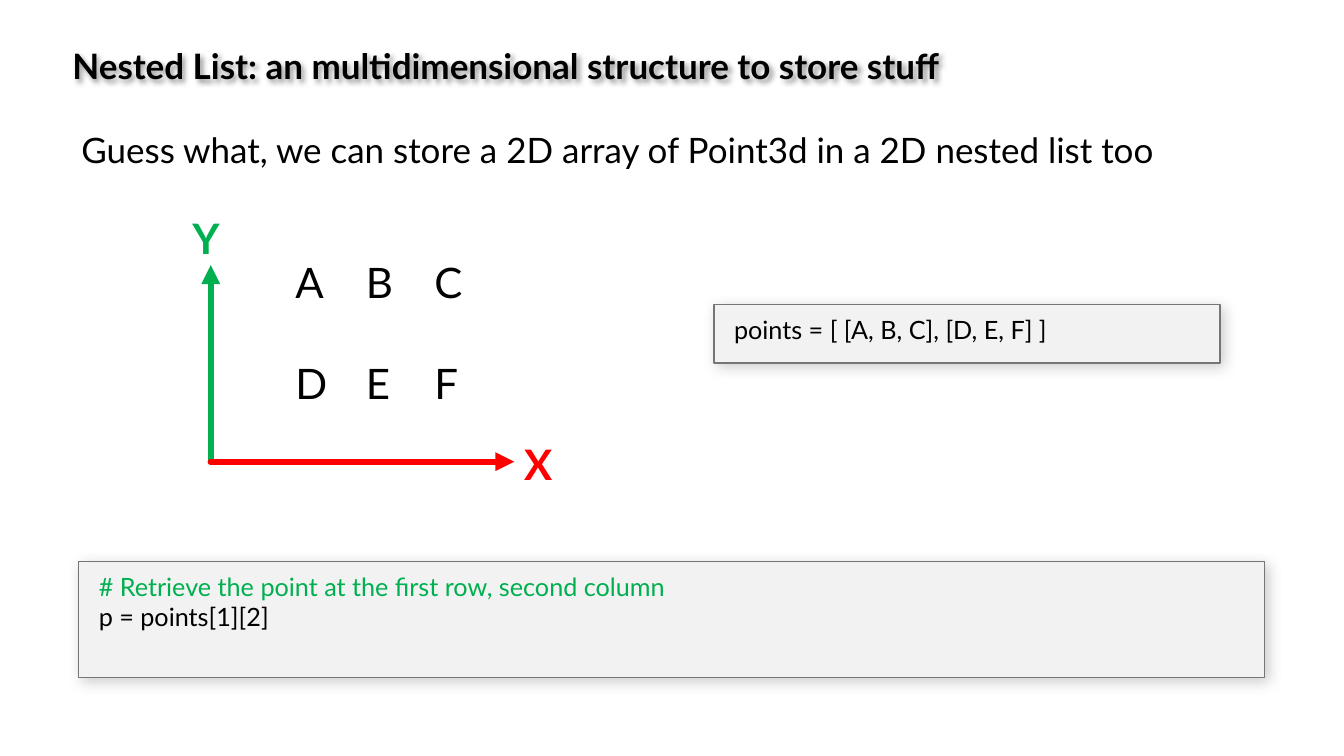
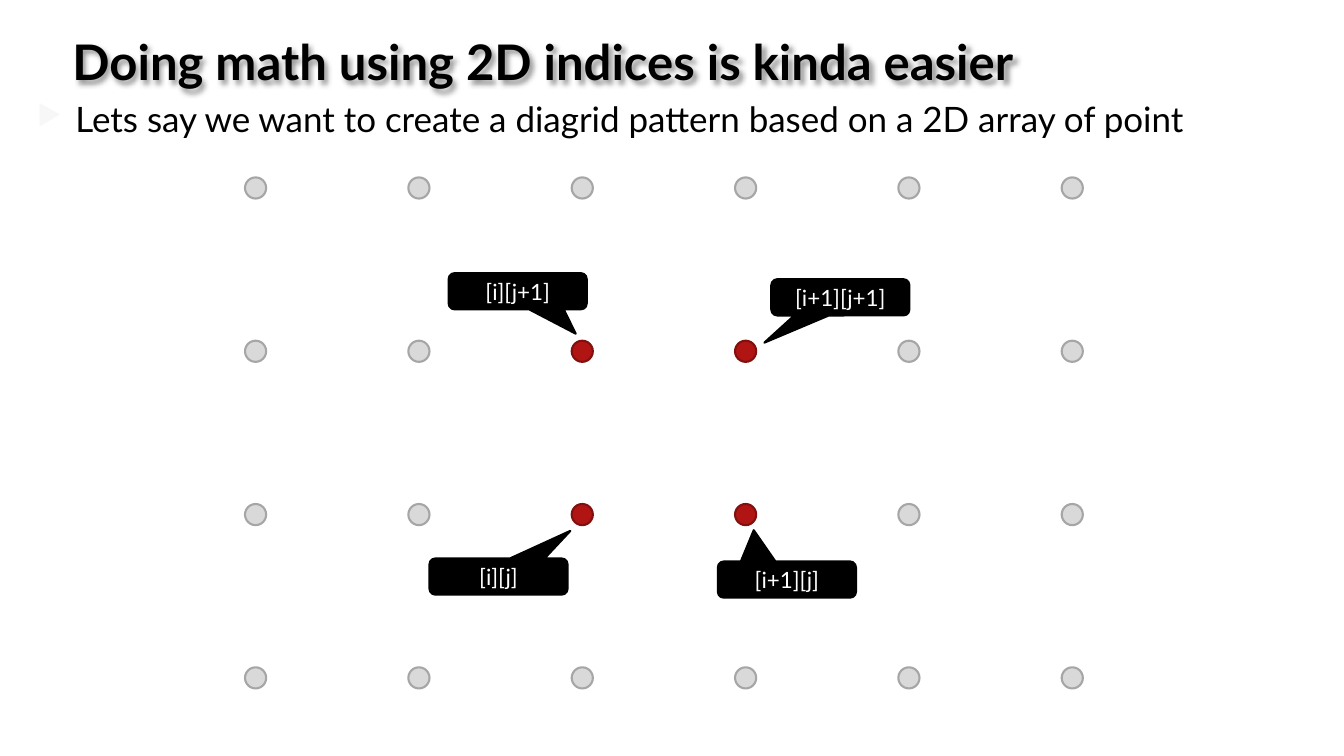
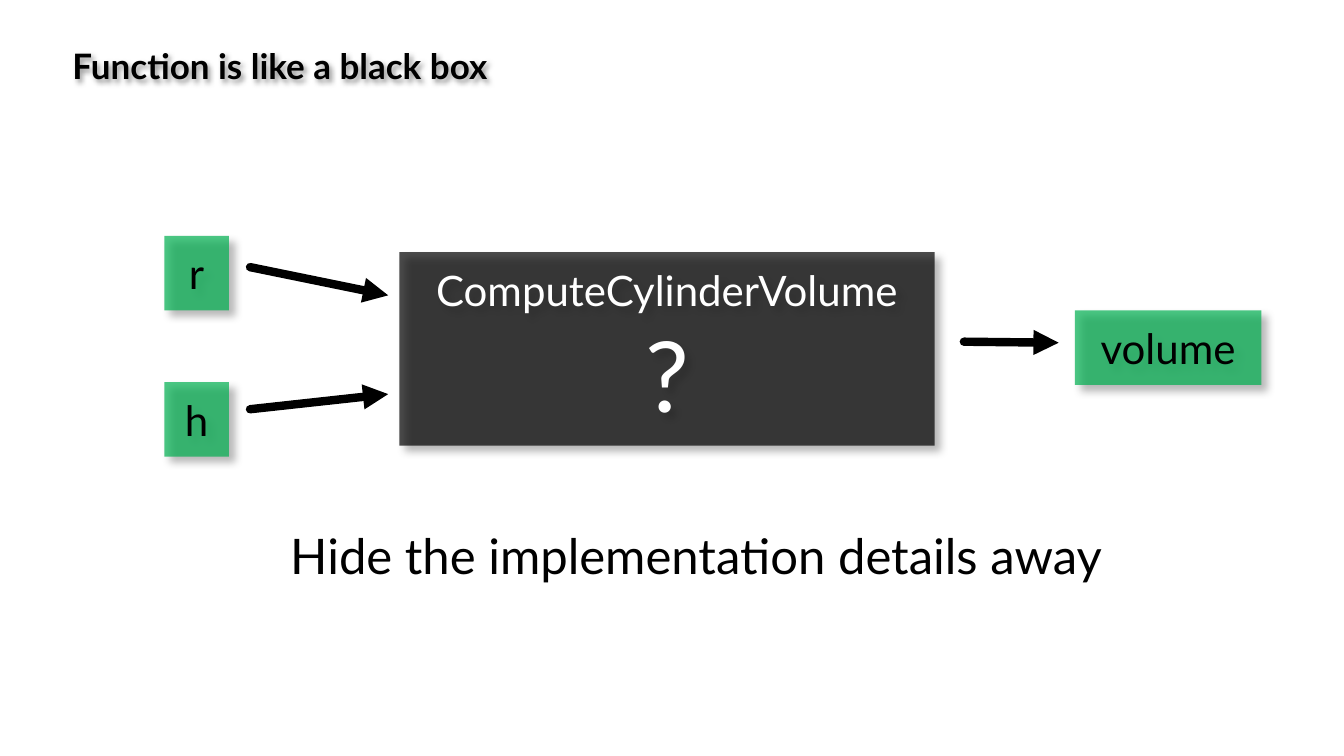
from dataclasses import dataclass

from lxml import etree
from pptx import Presentation
from pptx.dml.color import RGBColor
from pptx.enum import shapes, text
from pptx.oxml.ns import qn
from pptx.util import Inches, Pt


@dataclass(frozen=True)
class Theme:
    font: str = "Lato"
    ink: str = "000000"
    paper: str = "FFFFFF"
    green: str = "00B050"
    red: str = "FF0000"
    code_fill: str = "F2F2F2"
    code_line: str = "767676"
    dot: tuple = ("D9D9D9", "A6A6A6")
    picked: tuple = ("B01513", "82100E")
    bullet: str = "F7F7F7"
    label: int = 16
    code: int = 18
    body: int = 25
    diagram: int = 30
    large: int = 35
    mystery: int = 70
    title_shadow: tuple = (40, 4, 3)
    code_shadow: tuple = (20, 10, 3)
    box_shadow: tuple = (40, 6, 6)


T = Theme()
SHAPE = shapes.MSO_SHAPE
CENTER = text.PP_ALIGN.CENTER
MIDDLE = text.MSO_ANCHOR.MIDDLE


def child(parent, tag, **attrs):
    el = etree.SubElement(parent, qn(tag))
    for key, value in attrs.items():
        el.set(key, str(value))
    return el


def apply(target, values):
    for key, value in values.items():
        setattr(target, key, value)


def add_shadow(sp, alpha, blur, dist):
    effects = sp.element.spPr.find(qn("a:effectLst"))
    shadow = child(effects, "a:outerShdw", blurRad=Pt(blur), dist=Pt(dist),
                   dir=45 * 60000, algn="tl", rotWithShape=0)
    child(child(shadow, "a:srgbClr", val=T.ink), "a:alpha", val=alpha * 1000)


def write(sp, lines, size, color=T.ink, bold=False, align=None, inset=(0.1, 0.05),
          anchor=text.MSO_ANCHOR.TOP, wrap=True):
    tf = sp.text_frame
    x, y = map(Inches, inset)
    apply(tf, {"word_wrap": wrap, "vertical_anchor": anchor, "margin_left": x,
               "margin_right": x, "margin_top": y, "margin_bottom": y})
    for n, line in enumerate(lines):
        content, fmt = line if isinstance(line, tuple) else (line, {})
        p = tf.add_paragraph() if n else tf.paragraphs[0]
        p.alignment = align or text.PP_ALIGN.LEFT
        r = p.add_run()
        r.text = content
        apply(r.font, {"name": T.font, "size": Pt(fmt.get("size", size)), "bold": bold})
        r.font.color.rgb = RGBColor.from_string(fmt.get("color", color))
    return tf


def add_text(slide, at, lines, size, **fmt):
    sp = slide.shapes.add_textbox(*map(Inches, at))
    write(sp, lines, size, **fmt)
    return sp


def add_title(slide, content, size=T.body, top=0.39):
    sp = add_text(slide, (0.62, top, 10.92, 0.64), [content], size, bold=True)
    sp.shadow.inherit = False
    add_shadow(sp, *T.title_shadow)


def add_filled(slide, kind, at, fill, line=None, width=1.5, alpha=None, shadow=None):
    sp = slide.shapes.add_shape(kind, *map(Inches, at))
    sp.shadow.inherit = False
    sp.fill.solid()
    sp.fill.fore_color.rgb = RGBColor.from_string(fill)
    if alpha:
        color = sp.element.spPr.find(qn("a:solidFill")).find(qn("a:srgbClr"))
        child(color, "a:alpha", val=alpha * 1000)
    if line:
        sp.line.color.rgb = RGBColor.from_string(line)
        sp.line.width = Pt(width)
    else:
        sp.line.fill.background()
    if shadow:
        add_shadow(sp, *shadow)
    return sp


def add_code(slide, at, lines):
    sp = add_filled(slide, SHAPE.RECTANGLE, at, T.code_fill, T.code_line, 1,
                    shadow=T.code_shadow)
    write(sp, lines, T.code, inset=(0.2, 0.1))


def add_box(slide, at, lines, fill, color):
    sp = add_filled(slide, SHAPE.RECTANGLE, at, fill, alpha=70, shadow=T.box_shadow)
    write(sp, lines, T.diagram, color=color, align=CENTER, inset=(0.2, 0.12))


def add_callout(slide, left, top, content, tip):
    sp = add_filled(slide, SHAPE.ROUNDED_RECTANGULAR_CALLOUT, (left, top, 1.37, 0.36),
                    T.ink, T.ink)
    for n, value in enumerate(tip):
        sp.adjustments[n] = value
    write(sp, [content], T.label, color=T.paper, align=CENTER, anchor=MIDDLE)


def add_arrow(slide, start, end, color=T.ink, width=6):
    cn = slide.shapes.add_connector(shapes.MSO_CONNECTOR.STRAIGHT,
                                    *map(Inches, (*start, *end)))
    cn.line.color.rgb = RGBColor.from_string(color)
    cn.line.width = Pt(width)
    spPr = cn.element.spPr
    ln = spPr.find(qn("a:ln"))
    ln.set("cap", "rnd")
    child(ln, "a:round")
    child(ln, "a:tailEnd", type="triangle")
    child(spPr, "a:effectLst")


def add_letter_rows(slide, at, rows, stops):
    sp = add_text(slide, at, ["\t".join(row) for row in rows], T.diagram)
    for n, p in enumerate(sp.text_frame.paragraphs):
        if n:
            p.space_before = Pt(36)
        tabs = child(p._p.get_or_add_pPr(), "a:tabLst")
        for stop in stops:
            child(tabs, "a:tab", pos=Inches(stop), algn="l")


def add_bullet(p, indent):
    pPr = p._p.get_or_add_pPr()
    pPr.set("marL", str(Inches(indent)))
    pPr.set("indent", str(-Inches(indent)))
    child(child(pPr, "a:buClr"), "a:srgbClr", val=T.bullet)
    child(pPr, "a:buSzPct", val=80000)
    child(pPr, "a:buChar", char="▶")


def nested_list(slide):
    add_title(slide, "Nested List: an multidimensional structure to store stuff")
    add_text(slide, (0.71, 1.23, 10.99, 0.83),
             ["Guess what, we can store a 2D array of Point3d in a 2D nested list too"], T.body)
    add_code(slide, (7.08, 3.02, 5.02, 0.58), ["points = [ [A, B, C], [D, E, F] ]"])
    add_code(slide, (0.78, 5.57, 11.76, 1.15),
             [("# Retrieve the point at the first row, second column", {"color": T.green}),
              "p = points[1][2]"])
    add_letter_rows(slide, (2.83, 2.5, 2.02, 1.62), ("ABC", "DEF"), (0.7, 1.38))
    origin = (2.09, 4.58)
    for name, end, label_at, color in (("Y", (2.09, 2.63), (1.81, 2.06), T.green),
                                       ("X", (5.1, 4.58), (5.1, 4.3), T.red)):
        add_arrow(slide, origin, end, color, 4.5)
        add_text(slide, (*label_at, 0.55, 0.61), [name], T.diagram, color=color, bold=True)


def diagrid(slide):
    add_title(slide, "Doing math using 2D indices is kinda easier", T.large, 0.26)
    sp = add_text(slide, (0.27, 0.92, 11.85, 0.83),
                  ["Lets say we want to create a diagrid pattern based on a 2D array of point"],
                  T.body)
    add_bullet(sp.text_frame.paragraphs[0], 0.38)
    pitch, size = 1.62, 0.21
    for row in range(4):
        for col in range(6):
            colors = T.picked if row in (1, 2) and col in (2, 3) else T.dot
            add_filled(slide, SHAPE.OVAL,
                       (2.43 + col * pitch, 1.76 + row * pitch, size, size), *colors)
    for callout in ((4.26, 5.54, "[i][j]", (0.52, -1.26)),
                    (7.12, 5.57, "[i+1][j]", (-0.24, -1.36)),
                    (7.65, 2.77, "[i+1][j+1]", (-0.55, 1.25)),
                    (4.45, 2.71, "[i][j+1]", (0.42, 1.17))):
        add_callout(slide, *callout)


def black_box(slide):
    add_title(slide, "Function is like a black box")
    add_box(slide, (3.96, 2.5, 5.31, 1.92),
            ["ComputeCylinderVolume", ("?", {"size": T.mystery})], T.ink, T.paper)
    for name, left, top, width in (("r", 1.63, 2.34, 0.64), ("h", 1.63, 3.79, 0.64),
                                   ("volume", 10.66, 3.08, 1.85)):
        add_box(slide, (left, top, width, 0.74), [name], T.green, T.ink)
    for start, end in (((2.48, 2.65), (3.85, 2.93)), ((2.48, 4.06), (3.85, 3.91)),
                       ((9.56, 3.39), (10.5, 3.4))):
        add_arrow(slide, start, end)
    add_text(slide, (2.78, 5.16, 8.38, 0.69), ["Hide the implementation details away"],
             T.large, wrap=False)


def main():
    prs = Presentation()
    apply(prs, {"slide_width": Inches(13.33), "slide_height": Inches(7.5)})
    for build in (nested_list, diagrid, black_box):
        build(prs.slides.add_slide(prs.slide_layouts[6]))
    prs.save("out.pptx")


if __name__ == "__main__":
    main()
